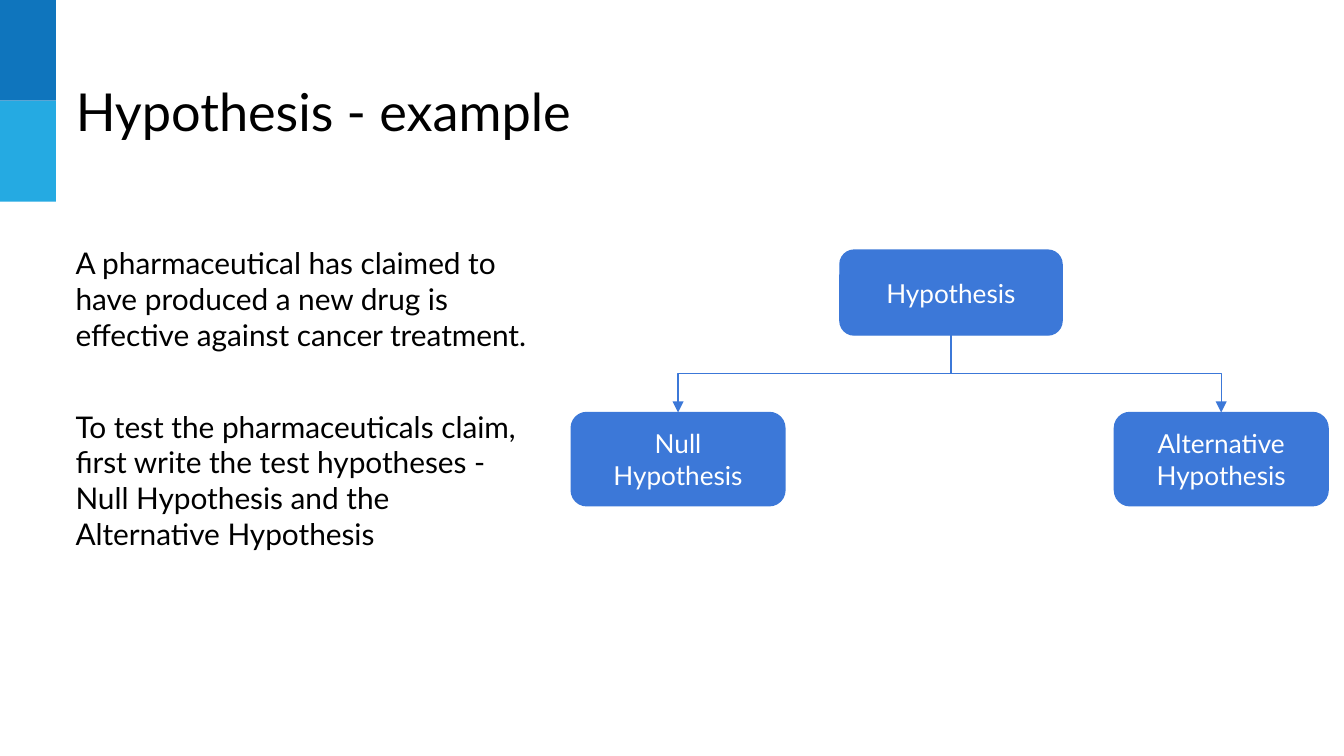
from lxml import etree
from pptx import Presentation
from pptx.dml.color import RGBColor
from pptx.enum.shapes import MSO_CONNECTOR, MSO_SHAPE
from pptx.enum.text import MSO_ANCHOR, MSO_AUTO_SIZE, PP_ALIGN
from pptx.oxml.ns import qn
from pptx.util import Pt

RECT, ROUNDED = MSO_SHAPE.RECTANGLE, MSO_SHAPE.ROUNDED_RECTANGLE
ELBOW = MSO_CONNECTOR.ELBOW
LEFT, CENTER = PP_ALIGN.LEFT, PP_ALIGN.CENTER
TOP, MIDDLE = MSO_ANCHOR.TOP, MSO_ANCHOR.MIDDLE
SIDE_TOP, SIDE_BOTTOM = 0, 2

FONT = "Lato"
COLORS = {
    "text": "000000",
    "white": "FFFFFF",
    "dark_band": "0F75BD",
    "light_band": "25AAE2",
    "node": "3C78D8",
}


def color(name):
    return RGBColor.from_string(COLORS[name])


def write(sp, paragraphs, size, fill="text", align=LEFT, anchor=TOP, gap=0):
    """Fill a shape with paragraphs, with a gap in points between them."""
    tf = sp.text_frame
    tf.word_wrap = True
    tf.auto_size = MSO_AUTO_SIZE.NONE
    tf.vertical_anchor = anchor
    tf.margin_left = tf.margin_right = tf.margin_top = tf.margin_bottom = Pt(7.2)
    for i, text in enumerate(paragraphs):
        p = tf.paragraphs[0] if i == 0 else tf.add_paragraph()
        p.text = text
        p.alignment = align
        p.space_before = Pt(gap if i else 0)
        p.font.name = FONT
        p.font.size = Pt(size)
        p.font.color.rgb = color(fill)


def add_box(s, kind, x, y, w, h, fill):
    sp = s.shapes.add_shape(kind, Pt(x), Pt(y), Pt(w), Pt(h))
    sp.shadow.inherit = False
    sp.fill.solid()
    sp.fill.fore_color.rgb = color(fill)
    sp.line.fill.background()
    return sp


def add_bands(s, x, y, w, h):
    """Two stacked colour bands of equal height."""
    for i, fill in enumerate(("dark_band", "light_band")):
        add_box(s, RECT, x, y + i * h / 2, w, h / 2, fill)


def add_title(s, text, x, y, w, h):
    sp = s.shapes.title
    sp.left, sp.top, sp.width, sp.height = Pt(x), Pt(y), Pt(w), Pt(h)
    write(sp, [text], 28)


def add_body(s, paragraphs, x, y, w, h):
    sp = s.shapes.add_textbox(Pt(x), Pt(y), Pt(w), Pt(h))
    write(sp, paragraphs, 16, gap=30)


def add_node(s, text, x, y, w, h):
    sp = add_box(s, ROUNDED, x, y, w, h, "node")
    sp.line.color.rgb = color("node")
    sp.line.width = Pt(0.75)
    write(sp, [text], 14, "white", CENTER, MIDDLE)
    return sp


def add_branch(s, parent, child):
    """Elbow arrow going down, across and down from parent to child."""
    cxn = s.shapes.add_connector(ELBOW, 0, 0, 0, 0)
    cxn.begin_connect(parent, SIDE_BOTTOM)
    cxn.end_connect(child, SIDE_TOP)
    x1, y1 = parent.left + parent.width // 2, parent.top + parent.height
    x2, y2 = child.left + child.width // 2, child.top

    # A vertical start needs a frame turned a quarter about its centre
    drop, span = y2 - y1, abs(x2 - x1)
    cxn.left, cxn.top = (x1 + x2 - drop) // 2, (y1 + y2 - span) // 2
    cxn.width, cxn.height = drop, span
    to_right = x2 > x1
    sp_pr = cxn._element.spPr
    xfrm = sp_pr.find(qn("a:xfrm"))
    xfrm.set("rot", "16200000" if to_right else "5400000")
    xfrm.set("flipH", "1" if to_right else "0")
    xfrm.set("flipV", "0")

    cxn.line.color.rgb = color("node")
    cxn.line.width = Pt(0.75)
    etree.SubElement(sp_pr.find(qn("a:ln")), qn("a:tailEnd"), type="triangle")
    etree.SubElement(sp_pr, qn("a:effectLst"))


def add_tree(s, x, y, w, h):
    """One root above two children at the outer edges of the box."""
    root_w, root_h, child_w, child_h = 119, 45.5, 114.5, 50
    root = add_node(s, "Hypothesis", x + 144, y, root_w, root_h)
    children = (("Null Hypothesis", x),
                ("Alternative Hypothesis", x + w - child_w))
    for text, left in children:
        child = add_node(s, text, left, y + h - child_h, child_w, child_h)
        add_branch(s, root, child)


def main():
    prs = Presentation()
    prs.slide_width, prs.slide_height = Pt(720), Pt(405)
    s = prs.slides.add_slide(prs.slide_layouts[5])

    add_bands(s, 0, 0, 30, 108)
    add_title(s, "Hypothesis - example", 33.4, 35.5, 531, 45)
    add_body(s, [
        "A pharmaceutical has claimed to have produced a new drug is "
        "effective against cancer treatment.",
        "To test the pharmaceuticals claim, first write the test hypotheses -\v"
        "Null Hypothesis and the Alternative Hypothesis",
    ], 33.4, 124, 261, 253)
    add_tree(s, 306, 134, 405.5, 137)

    prs.save("out.pptx")


if __name__ == "__main__":
    main()
